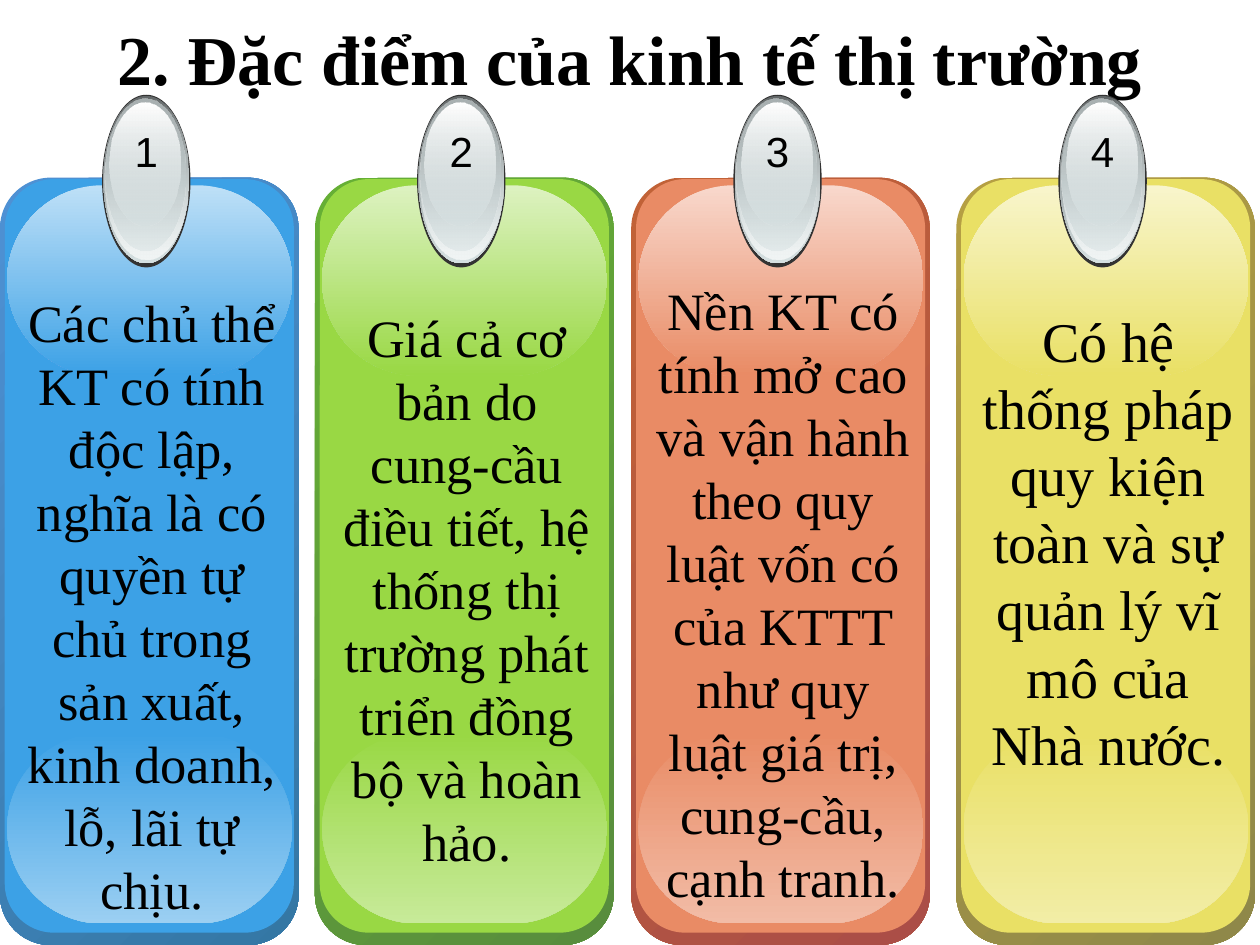
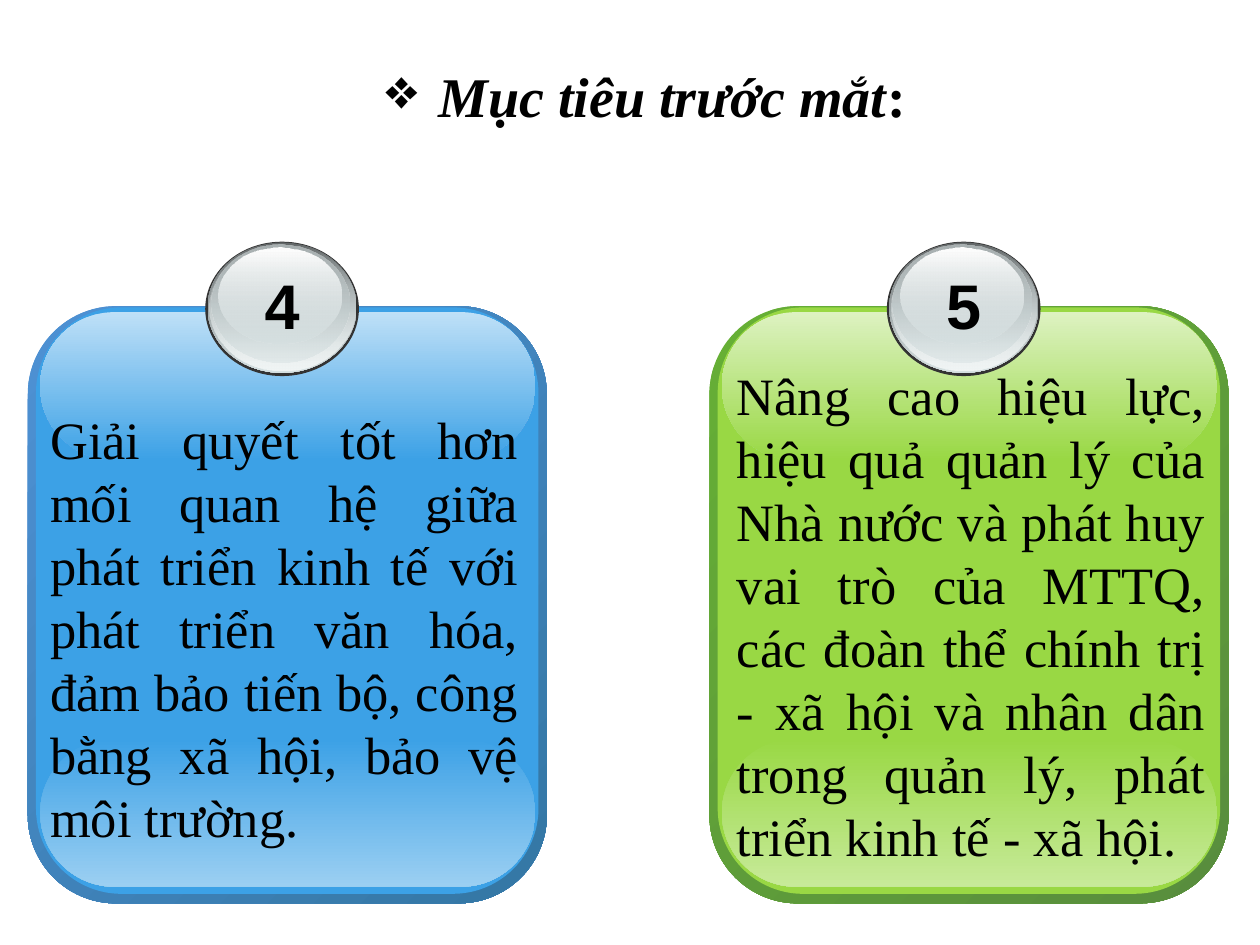
from dataclasses import dataclass

from lxml.etree import SubElement
from pptx import Presentation
from pptx.dml.color import RGBColor
from pptx.enum.shapes import MSO_SHAPE
from pptx.enum.text import MSO_ANCHOR, PP_ALIGN
from pptx.oxml.ns import qn
from pptx.util import Inches, Pt


@dataclass(frozen=True)
class Palette:
    edge_start: str
    edge_end: str
    face: str
    top_glow: str
    bottom_glow: str


class Theme:
    serif = "Times New Roman"
    sans = "Arial"
    ink = "000000"
    medal_rim = "333333"
    title_size = 40
    heading_size = 32
    body_size = 30
    large_body_size = 32
    blue = Palette("4E91D4", "3477A4", "3CA1E6", "BEE0F7", "9BCFF2")
    green = Palette("66AF35", "588D3D", "99D844", "DDF2C1", "C7EA99")
    orange = Palette("C16237", "AB4E47", "E98B65", "F8D8CC", "F2BCA6")
    yellow = Palette("B59F43", "8F8849", "E9E065", "F8F5CC", "F2EDA6")
    medal_layers = (
        ((1.5, 0.6, 97, 97), ("636869", 100), ("D6E1E2", 100)),
        ((2.9, 1.3, 94.7, 94.4), ("D6E1E2", 0), ("F1F5F5", 100)),
        ((3.8, 2, 90, 88.2), ("AAB2B3", 100), ("D6E1E2", 48)),
        ((8.9, 4.6, 80, 71.3), ("FFFFFF", 100), ("D6E1E2", 38)),
    )


@dataclass(frozen=True)
class Area:
    left: float
    top: float
    width: float
    height: float

    def inside(self, left, top, width, height):
        return Area(
            self.left + self.width * left / 100,
            self.top + self.height * top / 100,
            self.width * width / 100,
            self.height * height / 100,
        )


class Builder:
    columns, rows = 100, 75

    def __init__(self, theme):
        self.theme = theme
        self.deck = Presentation()
        self.deck.slide_width = Inches(10)
        self.deck.slide_height = Inches(7.5)
        self.page = None
        self.shapes = None

    def new_page(self):
        self.page = self.deck.slides.add_slide(self.deck.slide_layouts[6])
        self.shapes = self.page.shapes

    def place(self, area):
        column = self.deck.slide_width / self.columns
        row = self.deck.slide_height / self.rows
        return (
            round(area.left * column),
            round(area.top * row),
            round(area.width * column),
            round(area.height * row),
        )

    def shape(self, kind, area, rounding=None):
        shape = self.shapes.add_shape(kind, *self.place(area))
        shape.shadow.inherit = False
        shape.line.fill.background()
        if rounding is not None:
            shape.adjustments[0] = rounding
        return shape

    def solid(self, shape, colour):
        shape.fill.solid()
        shape.fill.fore_color.rgb = RGBColor.from_string(colour)

    def gradient(self, shape, start, end, angle=270):
        shape.fill.gradient()
        shape.fill.gradient_angle = angle
        for stop, (colour, _) in zip(shape.fill.gradient_stops, (start, end)):
            stop.color.rgb = RGBColor.from_string(colour)
        colours = shape.element.spPr.iter(qn("a:srgbClr"))
        for element, (_, opacity) in zip(list(colours), (start, end)):
            if opacity < 100:
                SubElement(element, qn("a:alpha")).set("val", str(opacity * 1000))

    def text(self, area, runs, size, font=None, align=PP_ALIGN.CENTER,
             anchor=MSO_ANCHOR.TOP, wrap=True, bullet=None):
        box = self.shapes.add_textbox(*self.place(area))
        frame = box.text_frame
        frame.word_wrap = wrap
        frame.vertical_anchor = anchor
        para = frame.paragraphs[0]
        para.alignment = align
        if bullet:
            self.bullet(para, bullet)
        for wording, bold, italic in runs:
            span = para.add_run()
            span.text = wording
            span.font.name = font or self.theme.serif
            span.font.size = Pt(size)
            span.font.bold = bold
            span.font.italic = italic
            span.font.color.rgb = RGBColor.from_string(self.theme.ink)

    def bullet(self, para, symbol):
        properties = para._p.get_or_add_pPr()
        properties.set("marL", str(Inches(0.51)))
        properties.set("indent", str(-Inches(0.42)))
        colour = SubElement(properties, qn("a:buClr"))
        SubElement(colour, qn("a:srgbClr")).set("val", self.theme.ink)
        SubElement(properties, qn("a:buChar")).set("char", symbol)

    def panel(self, area, palette):
        edge = self.shape(MSO_SHAPE.ROUNDED_RECTANGLE, area, 0.17)
        self.gradient(edge, (palette.edge_start, 100), (palette.edge_end, 100), 315)
        face_area = area.inside(1.6, 0.2, 96.8, 98.2)
        face = self.shape(MSO_SHAPE.ROUNDED_RECTANGLE, face_area, 0.17)
        self.solid(face, palette.face)
        glows = (
            (72.4, palette.face, palette.bottom_glow),
            (1, palette.top_glow, palette.face),
        )
        for top, start, end in glows:
            glow_area = area.inside(2.4, top, 95.4, 24.8)
            glow = self.shape(MSO_SHAPE.ROUNDED_RECTANGLE, glow_area, 0.5)
            self.gradient(glow, (start, 100), (end, 100))

    def medal(self, area, number, size, bold):
        rim = self.shape(MSO_SHAPE.OVAL, area)
        self.solid(rim, self.theme.medal_rim)
        for shares, start, end in self.theme.medal_layers:
            layer = self.shape(MSO_SHAPE.OVAL, area.inside(*shares))
            self.gradient(layer, start, end)
        width = 2 + size * 0.08
        label = Area(area.left + (area.width - width) / 2,
                     area.top + area.height * 0.14, width, 1 + size / 6)
        self.text(label, [(number, bold, False)], size, self.theme.sans, wrap=False)

    def card(self, area, palette, number, number_size, wording, text_top, text_rows,
             text_size=None, align=PP_ALIGN.CENTER, inset=0.8, bold=False):
        self.shapes = self.page.shapes.add_group_shape().shapes
        self.panel(area, palette)
        self.medal(area.inside(34.2, -10.8, 29.6, 22.5), number, number_size, bold)
        text_area = Area(area.left + inset, text_top, area.width * 0.95, text_rows)
        self.text(text_area, [(wording, False, False)],
                  text_size or self.theme.body_size, align=align)
        self.shapes = self.page.shapes


def features_page(builder):
    theme = builder.theme
    builder.new_page()
    builder.text(Area(5, 0, 90, 9.2),
                 [("2. Đặc điểm của kinh tế thị trường", True, False)],
                 theme.title_size, anchor=MSO_ANCHOR.MIDDLE)
    features = (
        (0, theme.blue, 22.5, 51, theme.body_size,
         "Các chủ thể KT có tính độc lập, nghĩa là có quyền tự chủ trong "
         "sản xuất, kinh doanh, lỗ, lãi tự chịu."),
        (25, theme.green, 23.7, 46, theme.body_size,
         "Giá cả cơ bản do cung-cầu điều tiết, hệ thống thị trường phát triển "
         "đồng bộ và hoàn hảo."),
        (50.1, theme.orange, 21.6, 51, theme.body_size,
         "Nền KT có tính mở cao và vận hành theo quy luật vốn có của KTTT "
         "như quy luật giá trị, cung-cầu, cạnh tranh."),
        (75.9, theme.yellow, 23.8, 38.4, theme.large_body_size,
         "Có hệ thống pháp quy kiện toàn và sự quản lý vĩ mô của Nhà nước."),
    )
    for number, (left, palette, top, rows, size, wording) in enumerate(features, 1):
        builder.card(Area(left, 14.1, 23.7, 60.9), palette, str(number), 24,
                     wording, top, rows, size)


def goals_page(builder):
    theme = builder.theme
    builder.new_page()
    goals = (
        (2.2, theme.blue, 31.8, 36, 0.8,
         "Giải quyết tốt hơn mối quan hệ giữa phát triển kinh tế với phát triển "
         "văn hóa, đảm bảo tiến bộ, công bằng xã hội, bảo vệ môi trường."),
        (56.3, theme.green, 28.3, 41, 1.2,
         "Nâng cao hiệu lực, hiệu quả quản lý của Nhà nước và phát huy vai trò "
         "của MTTQ, các đoàn thể chính trị - xã hội và nhân dân trong quản lý, "
         "phát triển kinh tế - xã hội."),
    )
    for number, (left, palette, top, rows, inset, wording) in enumerate(goals, 4):
        builder.card(Area(left, 24.3, 41.2, 47.4), palette, str(number), 36,
                     wording, top, rows, align=PP_ALIGN.JUSTIFY, inset=inset, bold=True)
    builder.text(Area(10.8, 4.4, 80, 6.4),
                 [("Mục tiêu trước mắt", True, True), (":", True, False)],
                 theme.heading_size, bullet="❖")


def main():
    builder = Builder(Theme())
    features_page(builder)
    goals_page(builder)
    builder.deck.save("out.pptx")


if __name__ == "__main__":
    main()
